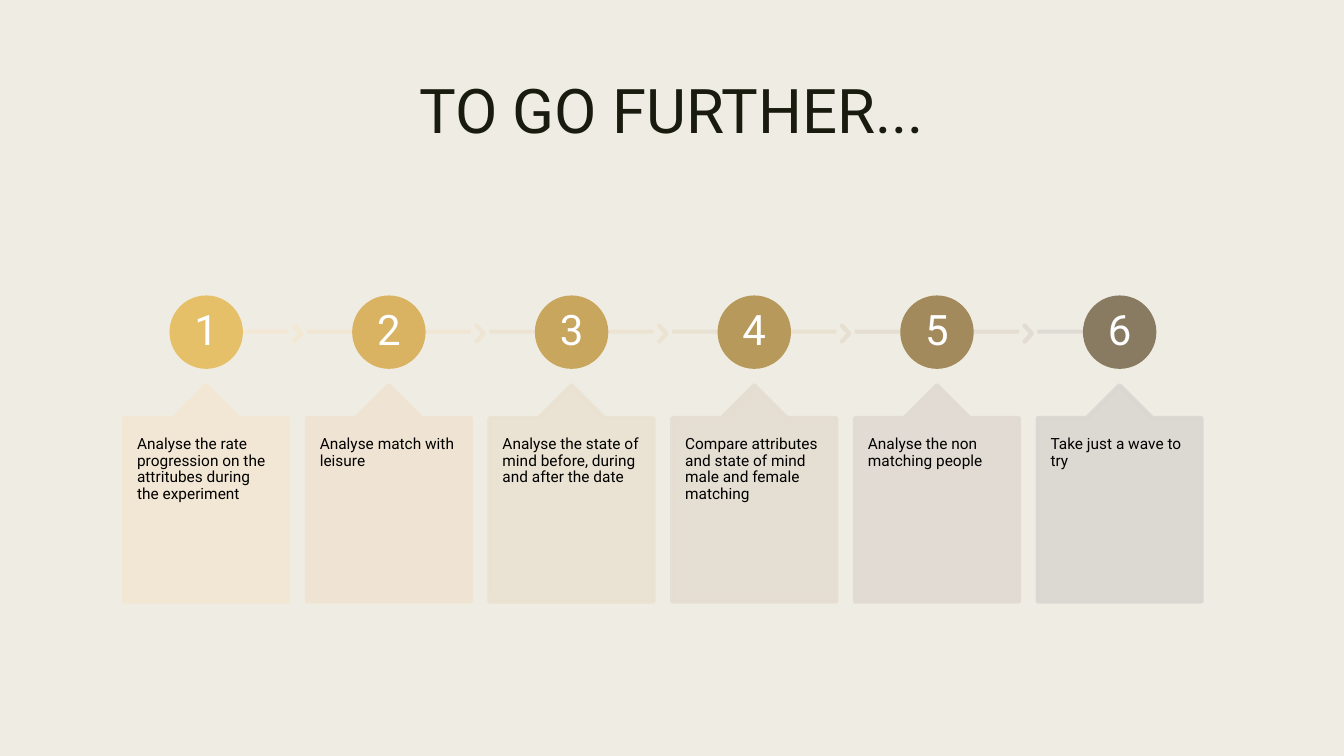
from lxml import etree
from pptx import Presentation
from pptx.dml.color import RGBColor
from pptx.enum.shapes import MSO_CONNECTOR, MSO_SHAPE
from pptx.enum.text import MSO_ANCHOR, PP_ALIGN
from pptx.oxml.ns import qn
from pptx.util import Inches, Pt

STRAIGHT = MSO_CONNECTOR.STRAIGHT
CIRCLE, CHEVRON, CALLOUT = MSO_SHAPE.OVAL, MSO_SHAPE.CHEVRON, MSO_SHAPE.UP_ARROW_CALLOUT
TOP, MIDDLE = MSO_ANCHOR.TOP, MSO_ANCHOR.MIDDLE
LEFT, CENTER = PP_ALIGN.LEFT, PP_ALIGN.CENTER

THEME = {
    "font": "Roboto",
    "background": "EFEDE3",
    "title": {"color": "191B0E", "size": 44},
    "number": {"color": "FFFFFF", "size": 30},
    "body": {"color": "000000", "size": 11},
    "outline": Pt(2.75),
    "opacity": 90,
    "circles": ["E6C069", "D9B362", "C9A65E", "B7995B", "A38A5C", "897B61"],
    "lines": ["F5E8D4", "F2E6D2", "EDE3D1", "E9E0D1", "E4DCD1", "DED9D2"],
    "chevrons": ["F4E8D3", "F0E5D2", "ECE2D1", "E7DFD1", "E2DBD1"],
    "callouts": ["F3E7D3", "EFE4D2", "EAE1D1", "E5DDD1", "E0DAD2", "DAD7D2"],
}

STEPS = [
    "Analyse the rate progression on the attritubes during the experiment",
    "Analyse match with leisure",
    "Analyse the state of mind before, during and after the date",
    "Compare attributes and state of mind male and female matching",
    "Analyse the non matching people",
    "Take just a wave to try",
]

FIRST_LEFT, PITCH = 1.23, 9.06 / 5
CARD_WIDTH, CARD_TOP, CARD_HEIGHT = 1.63, 3.82, 2.15
CIRCLE_SIZE, CIRCLE_TOP = 0.69, 2.95
LINE_Y = 3.29


def paint(shape, color, opacity=100):
    """Give fill and outline one colour, with no shadow; a connector has only an outline."""
    shape.line.width = THEME["outline"]
    fills = [shape.line.fill]
    if hasattr(shape, "fill"):
        shape.shadow.inherit = False
        fills.append(shape.fill)
    else:
        etree.SubElement(shape._element.spPr, qn("a:effectLst"))
    for fill in fills:
        fill.solid()
        fill.fore_color.rgb = RGBColor.from_string(color)
    if opacity < 100:
        for node in shape._element.spPr.iter(qn("a:srgbClr")):
            etree.SubElement(node, qn("a:alpha"), val=str(opacity * 1000))


def write(shape, text, style, align, spacing, anchor, margin_x, margin_y):
    frame = shape.text_frame
    frame_format = {
        "word_wrap": True, "vertical_anchor": anchor,
        "margin_left": Inches(margin_x), "margin_right": Inches(margin_x),
        "margin_top": Inches(margin_y), "margin_bottom": Inches(margin_y),
    }
    for name, value in frame_format.items():
        setattr(frame, name, value)
    para = frame.paragraphs[0]
    para.alignment, para.line_spacing = align, spacing
    span = para.add_run()
    span.text = text
    span.font.name = THEME["font"]
    span.font.size = Pt(style["size"])
    span.font.color.rgb = RGBColor.from_string(style["color"])


deck = Presentation()
deck.slide_width, deck.slide_height = Inches(13.33), Inches(7.5)
page = deck.slides.add_slide(deck.slide_layouts[6])
page.background.fill.solid()
page.background.fill.fore_color.rgb = RGBColor.from_string(THEME["background"])

title = page.shapes.add_textbox(Inches(0.7), Inches(0.75), Inches(11.93), Inches(1.62))
write(title, "TO GO FURTHER...", THEME["title"], CENTER, 0.89, TOP, 0.1, 0.05)

last = len(STEPS) - 1
for index, step in enumerate(STEPS):
    left = FIRST_LEFT + index * PITCH
    center = left + CARD_WIDTH / 2
    right = left + CARD_WIDTH

    # The timeline starts and ends behind the outer circles
    line_start = center + 0.1 if index == 0 else left
    line_end = center if index == last else right
    line = page.shapes.add_connector(
        STRAIGHT, Inches(line_start), Inches(LINE_Y), Inches(line_end), Inches(LINE_Y))
    paint(line, THEME["lines"][index], THEME["opacity"])

    if index < last:
        chevron = page.shapes.add_shape(
            CHEVRON, Inches(right + 0.05), Inches(3.23), Inches(0.08), Inches(0.16))
        chevron.adjustments[0] = 0.9
        paint(chevron, THEME["chevrons"][index], THEME["opacity"])

    circle = page.shapes.add_shape(
        CIRCLE, Inches(center - CIRCLE_SIZE / 2), Inches(CIRCLE_TOP),
        Inches(CIRCLE_SIZE), Inches(CIRCLE_SIZE))
    paint(circle, THEME["circles"][index])
    write(circle, str(index + 1), THEME["number"], CENTER, 0.9, MIDDLE, 0.03, 0.03)

    card = page.shapes.add_shape(
        CALLOUT, Inches(left), Inches(CARD_TOP), Inches(CARD_WIDTH), Inches(CARD_HEIGHT))
    for position, value in enumerate([0.5, 0.2, 0.2, 1]):
        card.adjustments[position] = value
    paint(card, THEME["callouts"][index], THEME["opacity"])
    write(card, step, THEME["body"], LEFT, 0.9, TOP, 0.13, 0.18)

deck.save("out.pptx")
